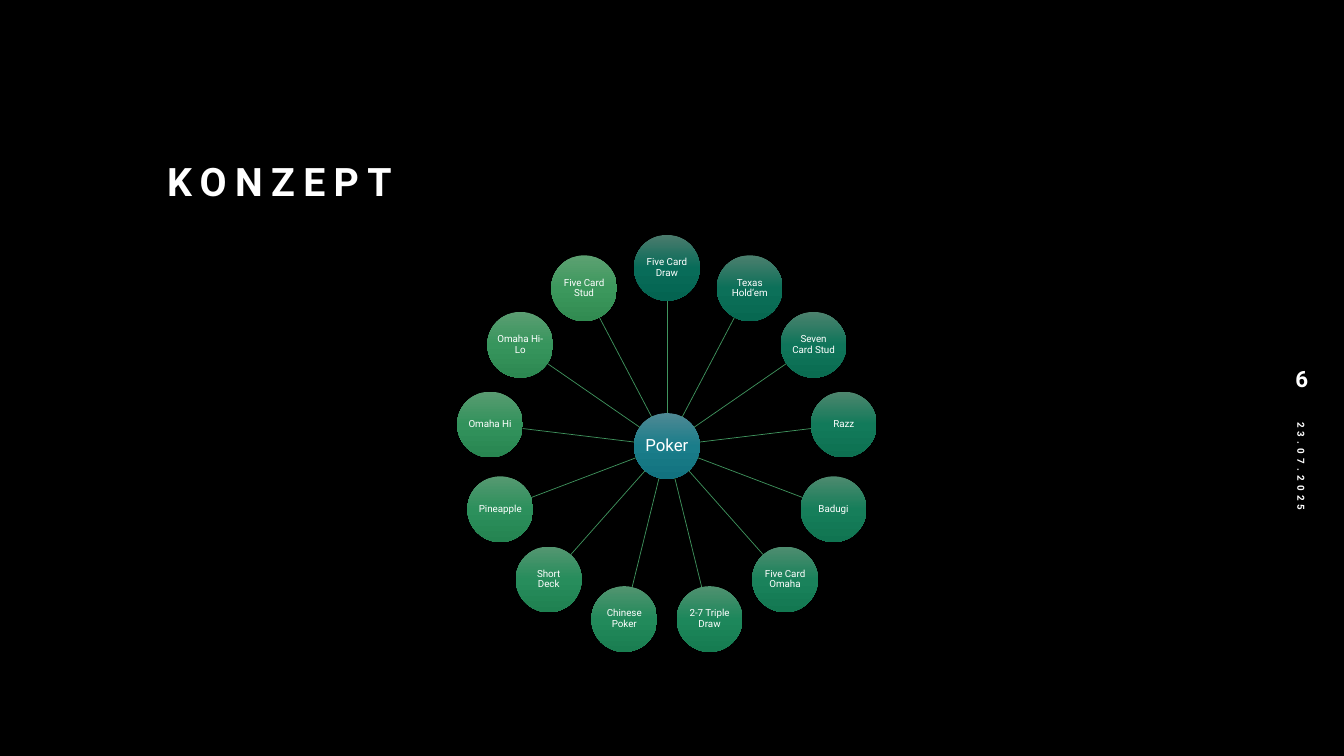
from copy import deepcopy
from math import cos, pi, sin

from lxml.etree import SubElement
from pptx import Presentation
from pptx.dml.color import RGBColor
from pptx.enum.shapes import MSO_CONNECTOR as Connector, MSO_SHAPE as Shape
from pptx.enum.text import MSO_ANCHOR as Anchor, PP_ALIGN as Align
from pptx.oxml.ns import qn
from pptx.util import Pt

BLACK = RGBColor(0x00, 0x00, 0x00)
WHITE = RGBColor(0xFF, 0xFF, 0xFF)
SPOKE_GREEN = RGBColor(0x40, 0x94, 0x5E)
HUB_BLUES = [RGBColor(0x4F, 0x89, 0x94), RGBColor(0x1A, 0x7D, 0x8A), RGBColor(0x12, 0x72, 0x7F)]
FIRST_GREENS = [RGBColor(0x4B, 0x7B, 0x6D), RGBColor(0x08, 0x6C, 0x59), RGBColor(0x04, 0x64, 0x51)]
MIDDLE_GREENS = [RGBColor(0x50, 0x91, 0x70), RGBColor(0x1D, 0x87, 0x5B), RGBColor(0x16, 0x7C, 0x51)]
LAST_GREENS = [RGBColor(0x5D, 0xA1, 0x72), RGBColor(0x3C, 0x98, 0x5D), RGBColor(0x31, 0x8B, 0x51)]

FONT = "Roboto"
CENTER_X, CENTER_Y = 476.4, 318.6
ORBIT = 127.3
RADIUS = 23.5
VARIANTS = [
    "Five Card Draw", "Texas Hold‘em", "Seven Card Stud", "Razz", "Badugi",
    "Five Card Omaha", "2-7 Triple Draw", "Chinese Poker", "Short Deck",
    "Pineapple", "Omaha Hi", "Omaha Hi-Lo", "Five Card Stud",
]


def write_text(frame, text, size, bold=False, align=Align.LEFT, anchor=Anchor.MIDDLE,
               line_spacing=1.0, tracking=0):
    """Write one formatted paragraph into a text frame."""
    frame.word_wrap = True
    frame.vertical_anchor = anchor
    paragraph = frame.paragraphs[0]
    paragraph.alignment = align
    paragraph.line_spacing = line_spacing
    run = paragraph.add_run()
    run.text = text
    run.font.name = FONT
    run.font.size = Pt(size)
    run.font.bold = bold
    run.font.color.rgb = WHITE
    if tracking:
        run.font._element.set("spc", str(tracking * 100))


def blend(start, end, share):
    """Mix two colours."""
    return RGBColor(*(round(a + (b - a) * share) for a, b in zip(start, end)))


def variant_greens(index):
    """Return the gradient colours of one variant along the wheel."""
    half = (len(VARIANTS) - 1) / 2
    if index <= half:
        pairs, share = zip(FIRST_GREENS, MIDDLE_GREENS), index / half
    else:
        pairs, share = zip(MIDDLE_GREENS, LAST_GREENS), index / half - 1
    return [blend(start, end, share) for start, end in pairs]


class SlideBuilder:
    """Hold the current slide and draw its styled elements."""

    def __init__(self, slide):
        """Start on a black background."""
        self.slide = slide
        slide.background.fill.solid()
        slide.background.fill.fore_color.rgb = BLACK

    def label(self, text, left, top, width, height, rotation=0, **text_format):
        """Add a text box."""
        box = self.slide.shapes.add_textbox(Pt(left), Pt(top), Pt(width), Pt(height))
        box.rotation = rotation
        write_text(box.text_frame, text, **text_format)

    def circle(self, text, x, y, colors, size):
        """Add a gradient circle with a centred caption."""
        shape = self.slide.shapes.add_shape(
            Shape.OVAL, Pt(x - RADIUS), Pt(y - RADIUS), Pt(2 * RADIUS), Pt(2 * RADIUS))
        shape.shadow.inherit = False
        shape.line.fill.background()
        shape.fill.gradient()
        shape.fill.gradient_angle = 270
        stop_list = shape._element.spPr.find(qn("a:gradFill")).find(qn("a:gsLst"))
        stop_list.insert(1, deepcopy(stop_list[0]))
        for stop, color, position in zip(shape.fill.gradient_stops, colors, (0, 0.5, 1)):
            stop.color.rgb = color
            stop.position = position
        frame = shape.text_frame
        frame.margin_left = frame.margin_right = frame.margin_top = frame.margin_bottom = 0
        write_text(frame, text, size, align=Align.CENTER, line_spacing=0.9)

    def spoke(self, angle):
        """Add a line from the hub's edge to the edge of an outer circle."""
        ends = []
        for distance in (RADIUS, ORBIT - RADIUS):
            ends += [Pt(CENTER_X + distance * sin(angle)), Pt(CENTER_Y - distance * cos(angle))]
        line = self.slide.shapes.add_connector(Connector.STRAIGHT, *ends)
        line.line.color.rgb = SPOKE_GREEN
        line.line.width = Pt(0.5)
        SubElement(line._element.spPr, qn("a:effectLst"))


def main():
    """Build the poker concept slide."""
    presentation = Presentation()
    presentation.slide_width, presentation.slide_height = Pt(960), Pt(540)
    builder = SlideBuilder(presentation.slides.add_slide(presentation.slide_layouts[6]))
    builder.label("KONZEPT", 112.3, 82.1, 727.2, 67.7, size=28, bold=True,
                  anchor=Anchor.BOTTOM, line_spacing=1.2, tracking=6)
    builder.circle("Poker", CENTER_X, CENTER_Y, HUB_BLUES, 12)
    for index, variant in enumerate(VARIANTS):
        angle = 2 * pi * index / len(VARIANTS)
        builder.spoke(angle)
        builder.circle(variant, CENTER_X + ORBIT * sin(angle), CENTER_Y - ORBIT * cos(angle),
                       variant_greens(index), 7)
    builder.label("23.07.2025", 824.4, 385.2, 210.2, 28.8, rotation=90, size=7, bold=True, tracking=3)
    builder.label("6", 905, 253.4, 49.7, 33.8, size=16, bold=True, align=Align.CENTER)
    presentation.save("out.pptx")


if __name__ == "__main__":
    main()
